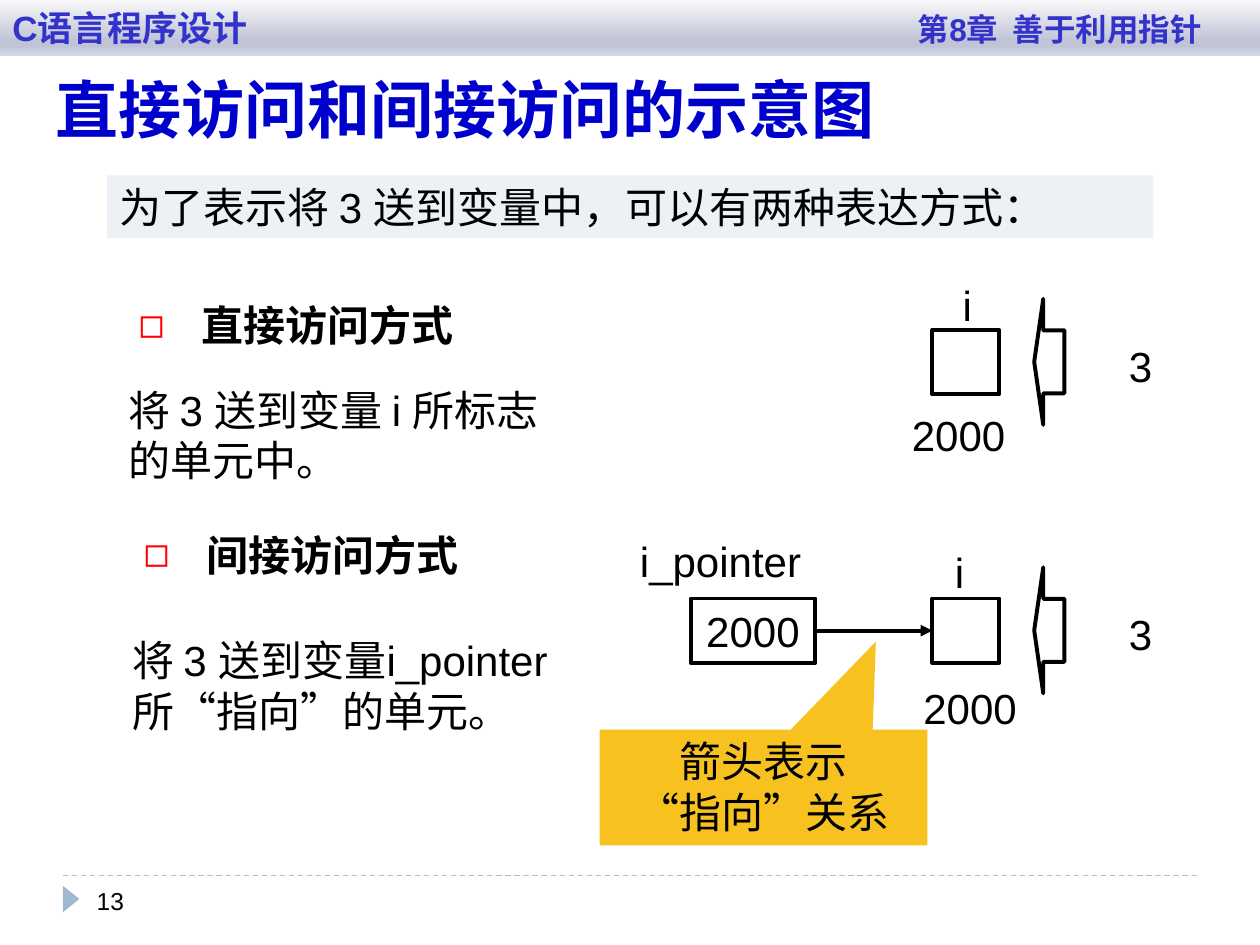
from lxml.etree import SubElement
from pptx import Presentation
from pptx.dml.color import RGBColor
from pptx.enum.dml import MSO_LINE_DASH_STYLE as Dash
from pptx.enum.shapes import MSO_CONNECTOR as Connector, MSO_SHAPE as Shape
from pptx.enum.text import MSO_ANCHOR as Anchor, MSO_AUTO_SIZE as AutoSize, PP_ALIGN as Align
from pptx.oxml.ns import qn
from pptx.util import Pt


def color(value):
    return RGBColor.from_string(value)


class SlideBuilder:
    """Draws the elements of one slide in a shared style, with lengths in points."""

    font = "Arial"
    size = 24
    ink = "000000"
    stroke = 2.25

    def __init__(self, page):
        self.page = page

    def place(self, item, frame):
        item.left, item.top, item.width, item.height = map(Pt, frame)

    def span(self, para, words, size=None, ink=None, bold=False):
        run = para.add_run()
        run.text = words
        run.font.name = self.font
        run.font.size = Pt(size or self.size)
        run.font.bold = bold
        run.font.color.rgb = color(ink or self.ink)

    def fill_text(self, item, lines, align=Align.LEFT, anchor=Anchor.TOP, wrap=True, **style):
        frame = item.text_frame
        frame.word_wrap = wrap
        frame.auto_size = AutoSize.NONE
        frame.vertical_anchor = anchor
        para = frame.paragraphs[0]
        para.alignment = align
        for number, words in enumerate(lines):
            if number:
                para.add_line_break()
            self.span(para, words, **style)
        return para

    def text(self, frame, words, **style):
        box = self.page.shapes.add_textbox(*map(Pt, frame))
        self.fill_text(box, [words], **style)

    def title(self, frame, words):
        item = self.page.shapes.title
        self.place(item, frame)
        self.fill_text(item, [words], anchor=Anchor.BOTTOM, size=36, ink="0000CC", bold=True)

    def bullet(self, index, frame, words):
        item = self.page.placeholders[index]
        self.place(item, frame)
        para = self.fill_text(item, [words], bold=True)
        para.space_before = Pt(0)
        props = para._p.get_or_add_pPr()
        props.set("marL", str(Pt(36)))
        props.set("indent", str(Pt(-36)))
        tint = SubElement(props, qn("a:buClr"))
        SubElement(tint, qn("a:srgbClr"), val="FF0000")
        SubElement(props, qn("a:buFont"), typeface=self.font)
        SubElement(props, qn("a:buChar"), char="◻")

    def shape(self, kind, frame, fill=None, outlined=False, adjust=(), turn=0):
        item = self.page.shapes.add_shape(kind, *map(Pt, frame))
        item.shadow.inherit = False
        item.rotation = turn
        for number, value in enumerate(adjust):
            item.adjustments[number] = value
        if fill:
            item.fill.solid()
            item.fill.fore_color.rgb = color(fill)
        else:
            item.fill.background()
        if outlined:
            item.line.color.rgb = color(self.ink)
            item.line.width = Pt(self.stroke)
        else:
            item.line.fill.background()
        return item

    def line(self, start, end, ink, width):
        item = self.page.shapes.add_connector(Connector.STRAIGHT, *map(Pt, start + end))
        item.line.color.rgb = color(ink)
        item.line.width = Pt(width)
        SubElement(item._element.spPr, qn("a:effectLst"))
        return item

    def arrow(self, source, target):
        item = self.line((0, 0), (0, 0), self.ink, self.stroke)
        item.begin_connect(source, 3)
        item.end_connect(target, 1)
        SubElement(item._element.spPr.find(qn("a:ln")), qn("a:tailEnd"), type="triangle")

    def header(self, frame, course, chapter):
        item = self.shape(Shape.RECTANGLE, frame)
        item.fill.gradient()
        item.fill.gradient_angle = 270
        stops = item._element.spPr.find(".//" + qn("a:gsLst"))
        for stop in list(stops):
            stops.remove(stop)
        for percent, tint in ((0, "F8F8FA"), (74, "C0C4D6"), (83, "C0C4D6"), (100, "D5D8E3")):
            stop = SubElement(stops, qn("a:gs"), pos=str(percent * 1000))
            SubElement(stop, qn("a:srgbClr"), val=tint)
        para = self.fill_text(item, [course], anchor=Anchor.MIDDLE, size=20, ink="3333CC", bold=True)
        tabs = SubElement(para._p.get_or_add_pPr(), qn("a:tabLst"))
        SubElement(tabs, qn("a:tab"), pos=str(Pt(517.5)), algn="l")
        self.span(para, "\t" + chapter, size=18, ink="3333CC", bold=True)

    def memory_cell(self, top, name_at, address_at):
        cell = self.shape(Shape.RECTANGLE, (532.8, top, 38.2, 36.7), outlined=True)
        self.text(name_at + (20.9, 36.7), "i", wrap=False)
        self.text(address_at + (72, 36), "2000", wrap=False)
        self.shape(Shape.LEFT_ARROW, (591, top - 17.8, 17.3, 72), outlined=True, adjust=(0.5, 0.3))
        self.text((638, top + 2.4, 28.8, 36), "3", wrap=False)
        return cell


def main():
    deck = Presentation()
    deck.slide_width, deck.slide_height = Pt(720), Pt(540)
    builder = SlideBuilder(deck.slides.add_slide(deck.slide_layouts[3]))

    rule = builder.line((36, 500.4), (684, 500.4), "B4B9BE", 0.75)
    rule.line.dash_style = Dash.DASH
    builder.shape(Shape.ISOSCELES_TRIANGLE, (33.1, 509, 15.1, 9.4), fill="9FB8CD", turn=90)
    builder.text((48.2, 500.4, 156, 28.8), "13", size=14, anchor=Anchor.MIDDLE)

    builder.title((24.5, 33.1, 613.4, 54), "直接访问和间接访问的示意图")
    banner = builder.shape(Shape.RECTANGLE, (61.2, 100.3, 598, 36), fill="ECF1F5")
    builder.fill_text(banner, ["为了表示将 3 送到变量中，可以有两种表达方式："])

    builder.memory_cell(188.6, (543, 156.2), (514, 230.4))
    target = builder.memory_cell(342, (538.6, 308.9), (520.6, 386.6))
    pointer = builder.shape(Shape.RECTANGLE, (394.6, 342, 71.3, 36.7), outlined=True)
    builder.fill_text(pointer, ["2000"], align=Align.CENTER, anchor=Anchor.MIDDLE, wrap=False)
    builder.arrow(pointer, target)
    builder.text((358.6, 302.4, 109.4, 36.7), "i_pointer", wrap=False)
    callout = builder.shape(Shape.RECTANGULAR_CALLOUT, (342.7, 416.9, 187.2, 66.2),
                            fill="F7C120", adjust=(0.343, -1.259))
    builder.fill_text(callout, ["箭头表示", "“指向”关系"], align=Align.CENTER)

    builder.bullet(1, (72, 167.8, 234, 36), "直接访问方式")
    builder.bullet(2, (74.9, 298.8, 234, 36), "间接访问方式")
    builder.text((68.4, 359.3, 282.2, 65.5), "将 3 送到变量i_pointer 所“指向”的单元。")
    builder.text((66.2, 216, 264.2, 65.5), "将 3 送到变量 i 所标志的单元中。")
    builder.header((0, 0, 720, 31.7), "C语言程序设计", "第8章  善于利用指针")

    deck.save("out.pptx")


if __name__ == "__main__":
    main()
